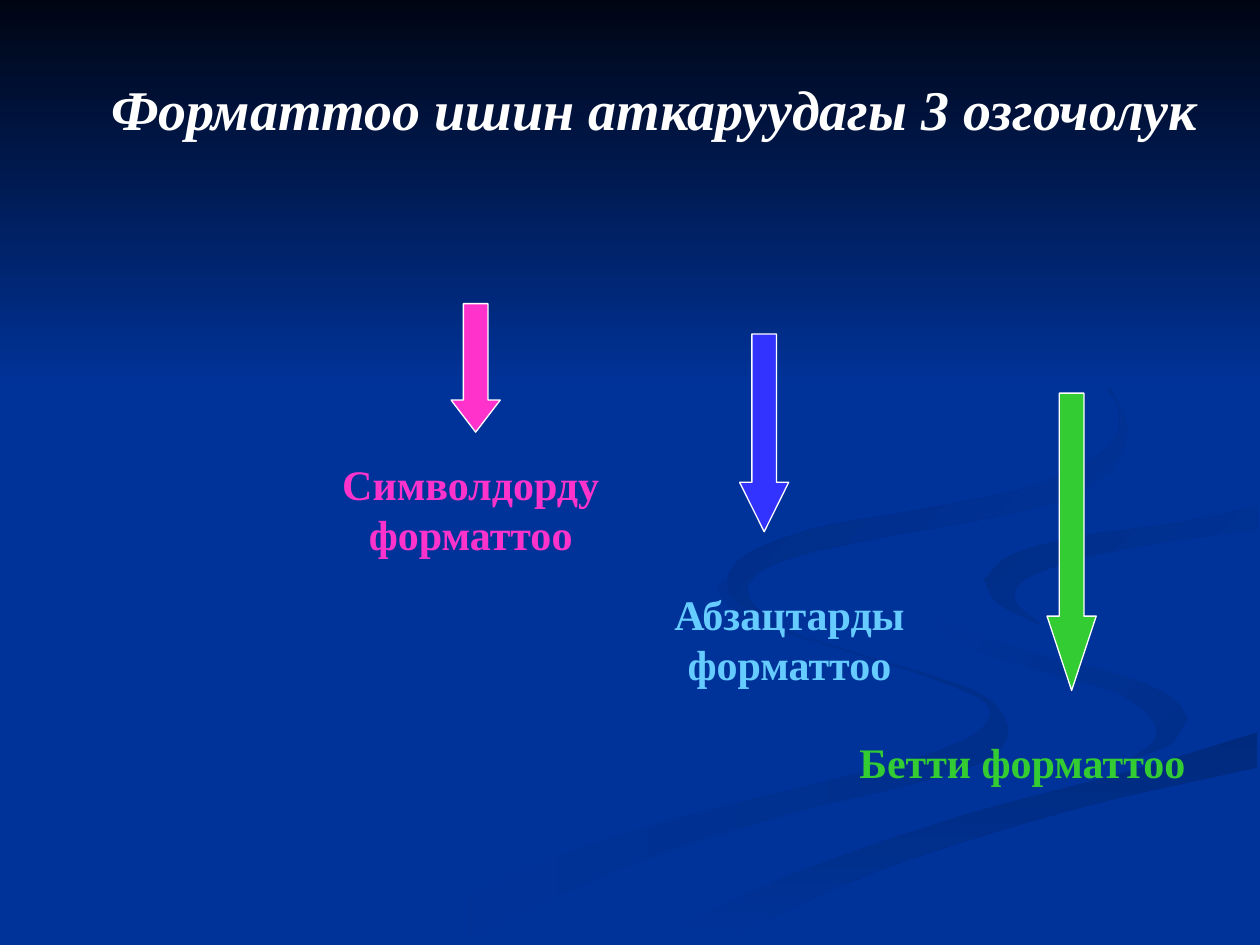
import math

import pptx
import pptx.dml.color
import pptx.enum.shapes
import pptx.enum.text
import pptx.util

Inches = pptx.util.Inches
RGBColor = pptx.dml.color.RGBColor

PAGE_WIDTH, PAGE_HEIGHT = 10, 7.5

WHITE = RGBColor(0xFF, 0xFF, 0xFF)
BLUE = RGBColor(0x00, 0x33, 0x99)
NIGHT = RGBColor(0x00, 0x05, 0x14)
PINK = RGBColor(0xFF, 0x33, 0xCC)
VIOLET = RGBColor(0x33, 0x33, 0xFF)
SKY = RGBColor(0x66, 0xCC, 0xFF)
GREEN = RGBColor(0x33, 0xCC, 0x33)
SHADE_LEFT = RGBColor(0x00, 0x2E, 0x8B)
SHADE_LOW = RGBColor(0x00, 0x2A, 0x7D)
SHADE_RIGHT = RGBColor(0x00, 0x2D, 0x86)
SHADE_TOP = RGBColor(0x00, 0x2B, 0x82)

# Ribbon edges: a few knots in inches, joined by smooth curves.
# Neighbouring ribbons share an edge.
LEFT_OUTER = [(5.75, 4.59), (5.83, 4.77), (6.14, 4.96), (6.82, 5.19), (7.45, 5.38), (7.86, 5.56),
              (8, 5.81), (7.86, 6.01), (7.4, 6.18), (6.23, 6.47), (4.99, 6.87), (3.61, 7.49)]
LEFT_INNER = [(3, 7.49), (4.17, 6.9), (5.39, 6.49), (6.84, 6.13), (7.59, 5.9), (7.86, 5.66),
              (7.62, 5.47), (6.79, 5.19), (5.93, 4.91), (5.7, 4.7), (5.75, 4.59)]
CURL_TOP = [(7.24, 4.64), (7.45, 4.9), (8.11, 5.15), (8.88, 5.35), (9.3, 5.53), (9.43, 5.7)]
CURL_END = [(9.43, 5.7), (9.32, 5.89), (8.94, 6.05)]
CURL_BOTTOM = [(8.94, 6.05), (9.18, 5.81), (8.92, 5.53), (8.38, 5.36), (7.66, 5.12),
               (7.3, 4.83), (7.24, 4.64)]
LOWER_TOP = [(5.03, 7.49), (5.43, 7.33), (6.3, 6.93), (7.64, 6.47), (9.03, 6.1), (9.98, 5.81)]
LOWER_BOTTOM = [(9.98, 6.09), (8.61, 6.4), (7.22, 6.82), (6.3, 7.19), (5.71, 7.49)]
WIDE_TAIL = [(9.43, 5.7), (9.26, 5.93), (8.13, 6.25), (6.63, 6.68), (5.73, 7.03), (4.77, 7.49)]
WIDE_BACK = [(9.98, 5.38), (9.04, 5.19), (8.32, 4.98), (7.86, 4.73), (7.81, 4.6)]
WIDE_TOP = [(9.98, 3.87), (9.2, 4.01), (8.3, 4.15), (7.55, 4.32), (7.24, 4.64)]
RIGHT_TOP = [(7.81, 4.6), (8, 4.42), (8.5, 4.27), (9.33, 4.15), (9.98, 4.02)]
RIGHT_BOTTOM = [(9.98, 4.2), (8.96, 4.35), (8.28, 4.53), (8.05, 4.72), (8.26, 4.96)]
RIGHT_END = [(8.26, 4.96), (7.91, 4.78), (7.81, 4.6)]
TOP_OUTER = [(7.62, 2.33), (8.43, 2.75), (8.8, 3.07), (8.94, 3.44), (8.76, 3.78), (8.25, 4.02),
             (6.83, 4.3), (6.14, 4.48), (5.93, 4.7), (6.22, 5)]
TOP_INNER = [(6.22, 5), (5.77, 4.62), (6.25, 4.26), (7.33, 4.04), (8.42, 3.78), (8.89, 3.35),
             (8.46, 2.79), (7.62, 2.33)]

# Edges around each ribbon, first colour, last colour, clockwise angle
RIBBONS = [
    ([LEFT_OUTER, LEFT_INNER], BLUE, SHADE_LEFT, 0),
    ([CURL_TOP, CURL_END, CURL_BOTTOM], BLUE, SHADE_LEFT, 45),
    ([LOWER_TOP, LOWER_BOTTOM], SHADE_LOW, BLUE, 90),
    ([CURL_TOP, WIDE_TAIL, LOWER_TOP, WIDE_BACK, RIGHT_TOP, WIDE_TOP], BLUE, BLUE, 0),
    ([RIGHT_TOP, RIGHT_BOTTOM, RIGHT_END], SHADE_RIGHT, BLUE, 45),
    ([TOP_OUTER, TOP_INNER], SHADE_TOP, BLUE, 45),
]
STEPS_PER_CURVE = 6
NIGHT_HEIGHT = 3.08

# Arrow (left, top, height), arrow colour, label, label place, label colour
TOPICS = [
    ((3.58, 2.41, 1.02), PINK, "Символдорду форматтоо", (2.24, 3.59, 2.99, 0.9), PINK),
    ((5.87, 2.65, 1.57), VIOLET, "Абзацтарды форматтоо", (4.69, 4.62, 3.15, 0.9), SKY),
    ((8.31, 3.12, 2.36), GREEN, "Бетти форматтоо", (6.5, 5.8, 3.23, 0.9), GREEN),
]
ARROW_WIDTH = 0.39
SHAFT_SHARE = 0.5   # of the arrow's width
HEAD_SHARE = 0.25   # of the arrow's height

LABEL_FORMAT = {"name": "Times New Roman", "size": pptx.util.Pt(24), "bold": True}
TITLE_FORMAT = {**LABEL_FORMAT, "size": pptx.util.Pt(32), "italic": True}


def smooth_edge(knots):
    """Join knots by Bezier curves; each knot's tangent follows its two neighbours."""
    last = len(knots) - 1
    tangents = []
    for i in range(last + 1):
        (x1, y1), (x2, y2) = knots[max(i - 1, 0)], knots[min(i + 1, last)]
        length = math.dist((x1, y1), (x2, y2))
        tangents.append(((x2 - x1) / length, (y2 - y1) / length))

    points = [knots[0]]
    for i in range(last):
        start, end = knots[i], knots[i + 1]
        reach = math.dist(start, end) / 3
        leave = [p + reach * t for p, t in zip(start, tangents[i])]
        arrive = [p - reach * t for p, t in zip(end, tangents[i + 1])]
        for step in range(1, STEPS_PER_CURVE + 1):
            t = step / STEPS_PER_CURVE
            weights = ((1 - t) ** 3, 3 * t * (1 - t) ** 2, 3 * t ** 2 * (1 - t), t ** 3)
            points.append(tuple(
                sum(weight * value for weight, value in zip(weights, values))
                for values in zip(start, leave, arrive, end)))
    return points


def paint(shape, first, last, angle):
    shape.shadow.inherit = False
    shape.line.fill.background()
    if first == last:
        shape.fill.solid()
        shape.fill.fore_color.rgb = first
        return
    shape.fill.gradient()
    shape.fill.gradient_angle = (360 - angle) % 360  # the library counts anticlockwise
    for stop, color in zip(shape.fill.gradient_stops, (first, last)):
        stop.color.rgb = color


def add_ribbon(page, edges, first, last, angle):
    points = [(Inches(x), Inches(y)) for edge in edges for x, y in smooth_edge(edge)]
    builder = page.shapes.build_freeform(*points[0])
    builder.add_line_segments(points[1:], close=True)
    paint(builder.convert_to_shape(), first, last, angle)


def add_shape(page, kind, place):
    return page.shapes.add_shape(kind, *map(Inches, place))


def add_arrow(page, left, top, height, color):
    kind = pptx.enum.shapes.MSO_SHAPE.UP_ARROW
    arrow = add_shape(page, kind, (left, top, ARROW_WIDTH, height))
    arrow.rotation = 180
    arrow.adjustments[0] = SHAFT_SHARE
    arrow.adjustments[1] = HEAD_SHARE * height / ARROW_WIDTH
    arrow.shadow.inherit = False
    arrow.fill.solid()
    arrow.fill.fore_color.rgb = color
    arrow.line.color.rgb = WHITE
    arrow.line.width = pptx.util.Pt(0.75)


def add_text(page, text, place, color, formats, spacing=1.0):
    box = page.shapes.add_textbox(*map(Inches, place))
    box.text_frame.word_wrap = True
    para = box.text_frame.paragraphs[0]
    para.alignment = pptx.enum.text.PP_ALIGN.CENTER
    para.line_spacing = spacing
    span = para.add_run()
    span.text = text
    for name, value in formats.items():
        setattr(span.font, name, value)
    span.font.color.rgb = color


def main():
    deck = pptx.Presentation()
    deck.slide_width, deck.slide_height = Inches(PAGE_WIDTH), Inches(PAGE_HEIGHT)
    page = deck.slides.add_slide(deck.slide_layouts[6])

    # Background: blue page, ribbons, dark band fading down from the top
    page.background.fill.solid()
    page.background.fill.fore_color.rgb = BLUE
    for ribbon in RIBBONS:
        add_ribbon(page, *ribbon)
    rectangle = pptx.enum.shapes.MSO_SHAPE.RECTANGLE
    band = add_shape(page, rectangle, (0, 0, PAGE_WIDTH, NIGHT_HEIGHT))
    paint(band, NIGHT, BLUE, 90)

    # Title
    add_text(page, "Форматтоо ишин аткаруудагы 3 озгочолук", (0.75, 0.6, 8.89, 1.57),
             WHITE, TITLE_FORMAT, spacing=0.9)

    # Each topic: an arrow and the label it points to
    for arrow_place, arrow_color, label, label_place, label_color in TOPICS:
        add_arrow(page, *arrow_place, arrow_color)
        add_text(page, label, label_place, label_color, LABEL_FORMAT)

    deck.save("out.pptx")


if __name__ == "__main__":
    main()
